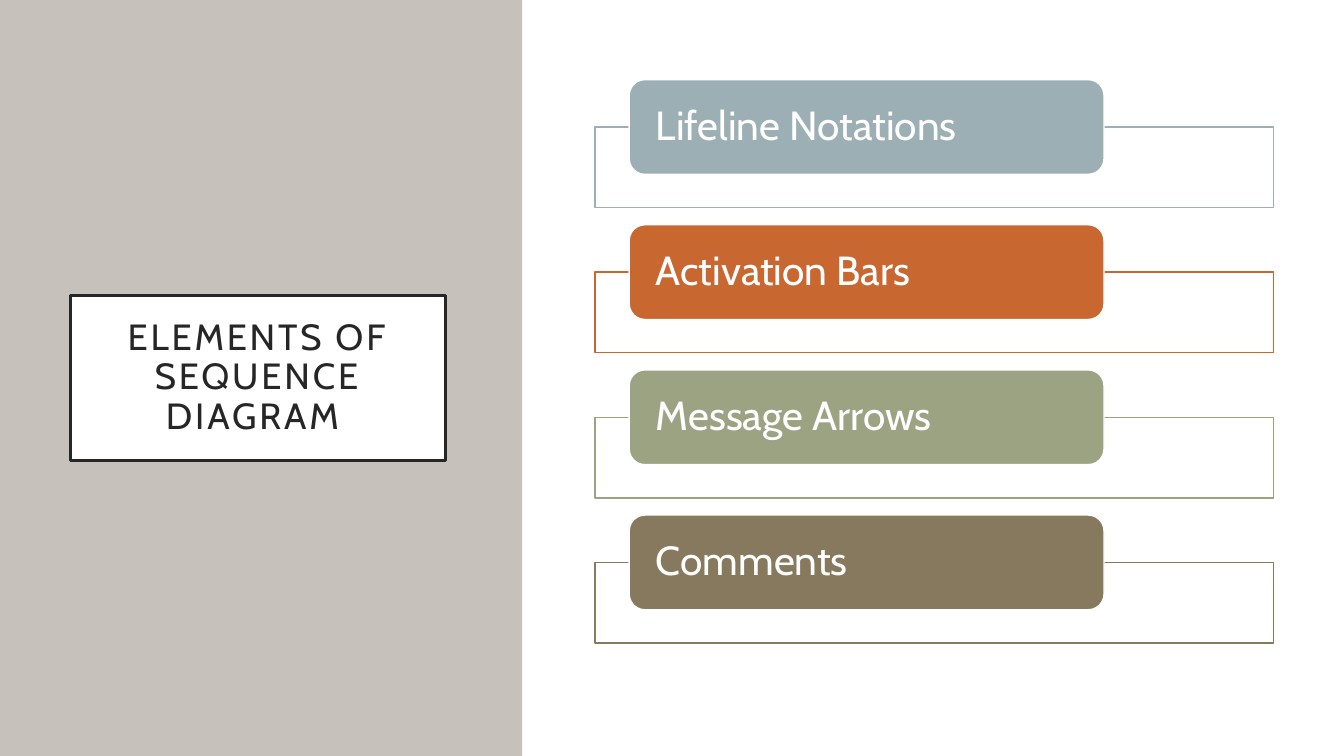
import pptx
import pptx.util
import pptx.dml.color
import pptx.enum.shapes
import pptx.enum.text
import pptx.oxml
import pptx.oxml.ns

Inches = pptx.util.Inches
Pt = pptx.util.Pt
Shape = pptx.enum.shapes.MSO_SHAPE
Align = pptx.enum.text.PP_ALIGN
qn = pptx.oxml.ns.qn

COLORS = {
    "white": "FFFFFF", "ink": "262626", "sand": "C6C1BA",
    "blue": "9BAFB5", "rust": "C96731", "sage": "9CA383", "brown": "87795D",
}
ITEMS = [
    ("Lifeline Notations", "blue"),
    ("Activation Bars", "rust"),
    ("Message Arrows", "sage"),
    ("Comments", "brown"),
]


def color(name):
    return pptx.dml.color.RGBColor.from_string(COLORS[name])


class Deck:
    """Holds the style and the current slide."""
    font = "Cabin"

    def __init__(self, wide, high):
        self.show = pptx.Presentation()
        self.show.slide_width = Inches(wide)
        self.show.slide_height = Inches(high)
        self.slide = self.show.slides.add_slide(self.show.slide_layouts[5])

    def paint(self, shape, fill, line=None, width=1):
        shape.fill.solid()
        shape.fill.fore_color.rgb = color(fill)
        if line:
            shape.line.color.rgb = color(line)
            shape.line.width = Pt(width)
        else:
            shape.line.fill.background()

    def box(self, kind, place, fill, line=None):
        shape = self.slide.shapes.add_shape(kind, *map(Inches, place))
        shape.shadow.inherit = False
        self.paint(shape, fill, line)
        return shape

    def fade(self, shape, share):
        tint = shape.element.spPr.find(qn("a:solidFill"))[0]
        alpha = pptx.oxml.parse_xml(
            f'<a:alpha {pptx.oxml.ns.nsdecls("a")} val="{share * 1000}"/>')
        tint.append(alpha)

    def label(self, shape, text, size, ink, align, side, edge):
        frame = shape.text_frame
        frame.text = text
        part = frame.paragraphs[0]
        formats = [
            (frame, {
                "word_wrap": True,
                "auto_size": pptx.enum.text.MSO_AUTO_SIZE.NONE,
                "vertical_anchor": pptx.enum.text.MSO_ANCHOR.MIDDLE,
                "margin_left": Inches(side), "margin_right": Inches(side),
                "margin_top": Inches(edge), "margin_bottom": Inches(edge),
            }),
            (part, {"alignment": align, "line_spacing": 0.9}),
            (part.runs[0].font, {"name": self.font, "size": Pt(size)}),
        ]
        for target, values in formats:
            for key, value in values.items():
                setattr(target, key, value)
        part.runs[0].font.color.rgb = color(ink)

    def title(self, text, place, back):
        shape = self.slide.shapes.title
        shape.left, shape.top, shape.width, shape.height = map(Inches, place)
        self.paint(shape, "white", "ink", 2.5)
        self.label(shape, text, 26, "ink", Align.CENTER, 0.2, 0.2)
        # Letter spacing of two points
        for props in shape.element.iter(qn("a:rPr")):
            props.set("spc", "200")
        # The side panel lies behind the title
        shape.element.addprevious(back.element)

    def item(self, text, tone, top):
        self.fade(self.box(Shape.RECTANGLE, (5.9, top + 0.47, 6.73, 0.8),
                           "white", tone), 90)
        bar = self.box(Shape.ROUNDED_RECTANGLE, (6.24, top, 4.71, 0.94),
                       tone, "white")
        self.label(bar, text, 29, "white", Align.LEFT, 0.22, 0.05)


def main():
    deck = Deck(13.33, 7.5)

    # Side panel and title
    panel = deck.box(Shape.RECTANGLE, (0, 0, 5.18, 7.5), "sand")
    deck.title("ELEMENTS OF SEQUENCE DIAGRAM ", (0.7, 2.93, 3.72, 1.64), panel)

    # List of elements
    deck.box(Shape.RECTANGLE, (5.2, 0, 8.13, 7.5), "white")
    for row, (text, tone) in enumerate(ITEMS):
        deck.item(text, tone, 0.79 + 1.44 * row)

    deck.show.save("out.pptx")


if __name__ == "__main__":
    main()
